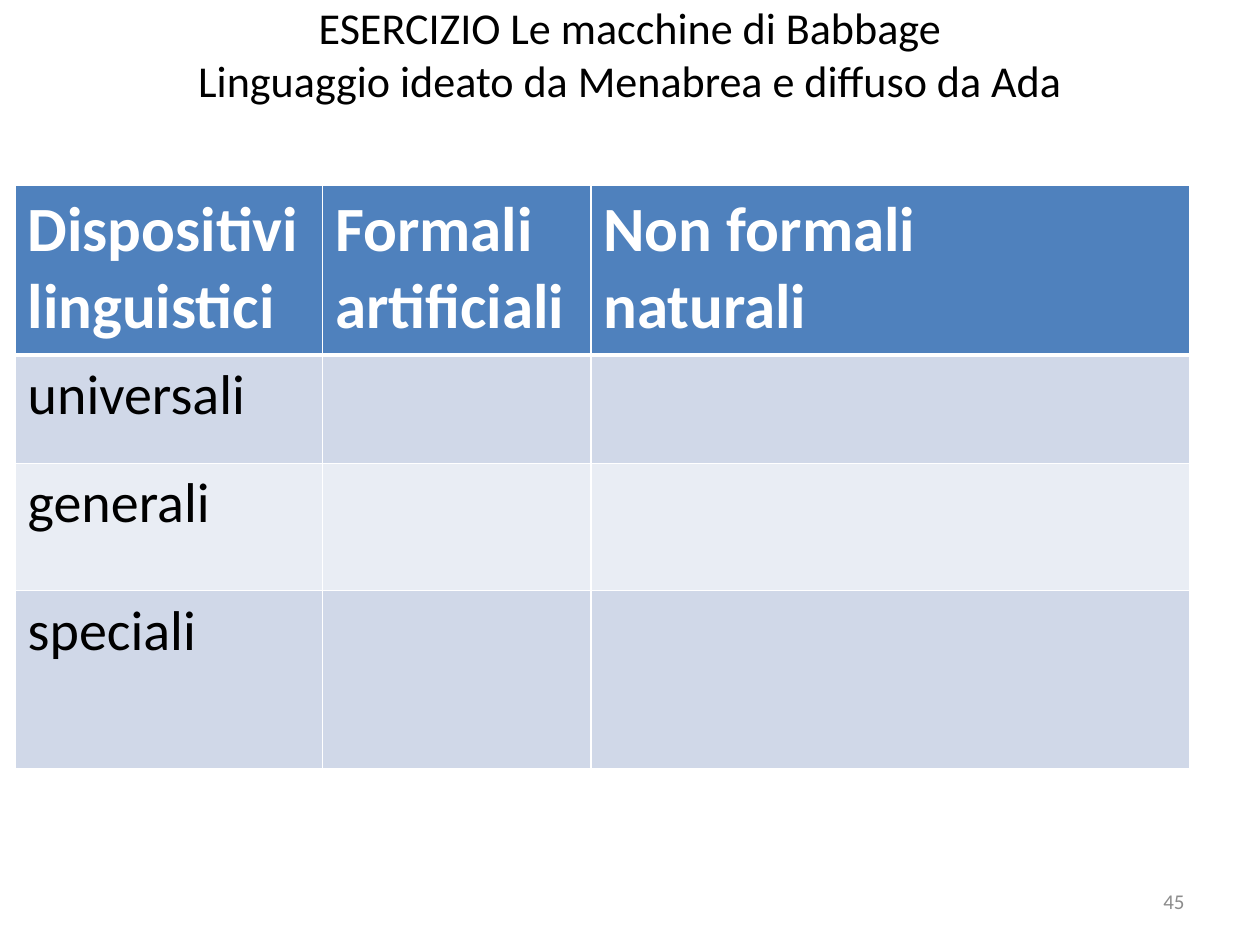
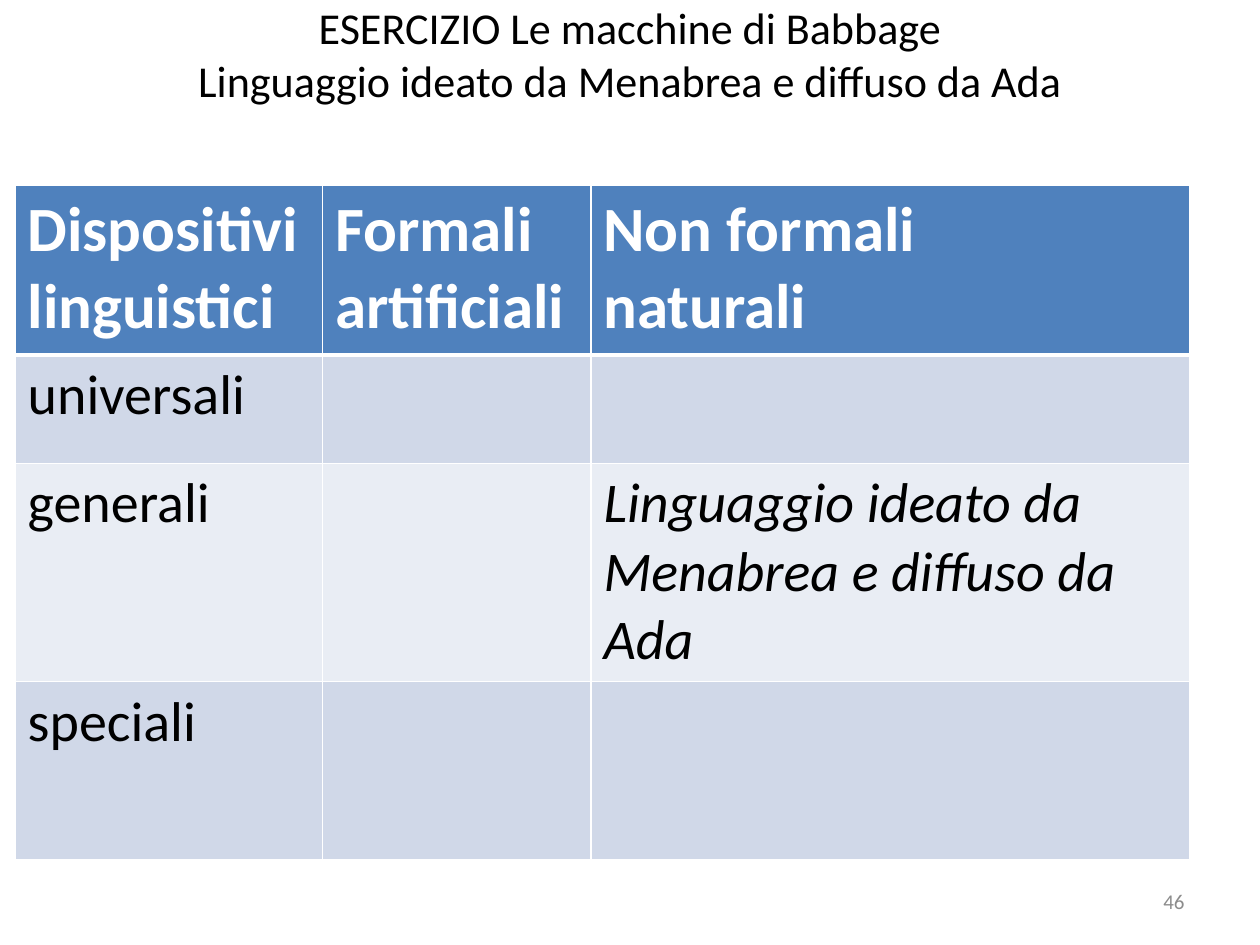
from dataclasses import dataclass
from lxml.etree import SubElement
from pptx import Presentation
from pptx.dml.color import RGBColor
from pptx.enum.text import MSO_ANCHOR, MSO_AUTO_SIZE, PP_ALIGN
from pptx.oxml.ns import qn
from pptx.util import Inches, Pt


@dataclass(frozen=True)
class Theme:
    font: str = "Calibri"
    title_size: float = 25.2
    header_size: float = 36
    body_size: float = 32
    number_size: float = 12
    ink: str = "000000"
    paper: str = "FFFFFF"
    header_fill: str = "4F81BD"
    bands: tuple = ("D0D8E8", "E9EDF4")
    number_ink: str = "8C8C8C"
    thin_rule: float = 1
    thick_rule: float = 3


@dataclass(frozen=True)
class Box:
    left: int
    top: int
    width: int
    height: int

    def share(self, left, top, width, height):
        return Box(round(self.left + self.width * left), round(self.top + self.height * top),
                   round(self.width * width), round(self.height * height))

    def place(self, shape):
        shape.left, shape.top = self.left, self.top
        shape.width, shape.height = self.width, self.height


THEME = Theme()
PAGE = Box(0, 0, Inches(10), Inches(7.5))
TITLE_BOX = PAGE.share(0.05, 0, 0.9, 0.112)
TABLE_BOX = PAGE.share(0.012, 0.196, 0.932, 0.618)
NUMBER_BOX = PAGE.share(0.717, 0.927, 0.233, 0.053)

COLUMN_WEIGHTS = (2.44, 2.13, 4.75)
ROW_WEIGHTS = (1.35, 0.86, 1.01, 1.42)
TITLE_LINES = ("ESERCIZIO Le macchine di Babbage",
               "Linguaggio ideato da Menabrea e diffuso da Ada")
HEADERS = (("Dispositivi ", "linguistici"),
           ("Formali ", "artificiali"),
           ("Non formali ", "naturali"))
LEVELS = ("universali", "generali", "speciali")


def add_run(paragraph, text, size, color, bold=False, italic=False):
    run = paragraph.add_run()
    run.text = text
    run.font.name = THEME.font
    run.font.size = Pt(size)
    run.font.bold = bold
    run.font.italic = italic
    run.font.color.rgb = RGBColor.from_string(color)


def add_title(slide, box):
    title = slide.shapes.title
    box.place(title)
    frame = title.text_frame
    frame.word_wrap = True
    frame.auto_size = MSO_AUTO_SIZE.NONE
    frame.vertical_anchor = MSO_ANCHOR.MIDDLE
    paragraph = frame.paragraphs[0]
    paragraph.alignment = PP_ALIGN.CENTER
    for index, line in enumerate(TITLE_LINES):
        if index:
            paragraph.add_line_break()
        add_run(paragraph, line, THEME.title_size, THEME.ink)


def add_slide_number(slide, box, number):
    shape = slide.shapes.add_textbox(box.left, box.top, box.width, box.height)
    frame = shape.text_frame
    frame.word_wrap = True
    frame.vertical_anchor = MSO_ANCHOR.MIDDLE
    paragraph = frame.paragraphs[0]
    paragraph.alignment = PP_ALIGN.RIGHT
    add_run(paragraph, str(number), THEME.number_size, THEME.number_ink)


def set_borders(cell, row):
    top = THEME.thick_rule if row == 1 else THEME.thin_rule
    bottom = THEME.thick_rule if row == 0 else THEME.thin_rule
    widths = {"a:lnL": THEME.thin_rule, "a:lnR": THEME.thin_rule, "a:lnT": top, "a:lnB": bottom}
    properties = cell._tc.get_or_add_tcPr()
    for tag, width in widths.items():
        line = SubElement(properties, qn(tag), w=str(Pt(width)))
        fill = SubElement(line, qn("a:solidFill"))
        SubElement(fill, qn("a:srgbClr"), val=THEME.paper)


def set_fill(cell, color):
    cell.fill.solid()
    cell.fill.fore_color.rgb = RGBColor.from_string(color)


def share_out(weights, length):
    return [round(length * weight / sum(weights)) for weight in weights]


def add_device_table(slide, box, answers):
    table = slide.shapes.add_table(len(ROW_WEIGHTS), len(COLUMN_WEIGHTS),
                                   box.left, box.top, box.width, box.height).table
    for column, width in zip(table.columns, share_out(COLUMN_WEIGHTS, box.width)):
        column.width = width
    for row, height in zip(table.rows, share_out(ROW_WEIGHTS, box.height)):
        row.height = height
    for row in range(len(ROW_WEIGHTS)):
        for column in range(len(COLUMN_WEIGHTS)):
            cell = table.cell(row, column)
            set_borders(cell, row)
            set_fill(cell, THEME.bands[(row - 1) % 2] if row else THEME.header_fill)
    for column, lines in enumerate(HEADERS):
        frame = table.cell(0, column).text_frame
        for index, line in enumerate(lines):
            paragraph = frame.add_paragraph() if index else frame.paragraphs[0]
            add_run(paragraph, line, THEME.header_size, THEME.paper, bold=True)
    for row, level in enumerate(LEVELS, start=1):
        paragraph = table.cell(row, 0).text_frame.paragraphs[0]
        add_run(paragraph, level, THEME.body_size, THEME.ink)
    for (row, column), answer in answers.items():
        paragraph = table.cell(row, column).text_frame.paragraphs[0]
        add_run(paragraph, answer, THEME.body_size, THEME.ink, italic=True)


def add_exercise_slide(presentation, number, answers):
    slide = presentation.slides.add_slide(presentation.slide_layouts[5])
    add_title(slide, TITLE_BOX)
    add_device_table(slide, TABLE_BOX, answers)
    add_slide_number(slide, NUMBER_BOX, number)


def main():
    presentation = Presentation()
    presentation.slide_width, presentation.slide_height = PAGE.width, PAGE.height
    solution = {(2, 2): TITLE_LINES[1]}
    for number, answers in enumerate(({}, solution), start=45):
        add_exercise_slide(presentation, number, answers)
    presentation.save("out.pptx")


main()
